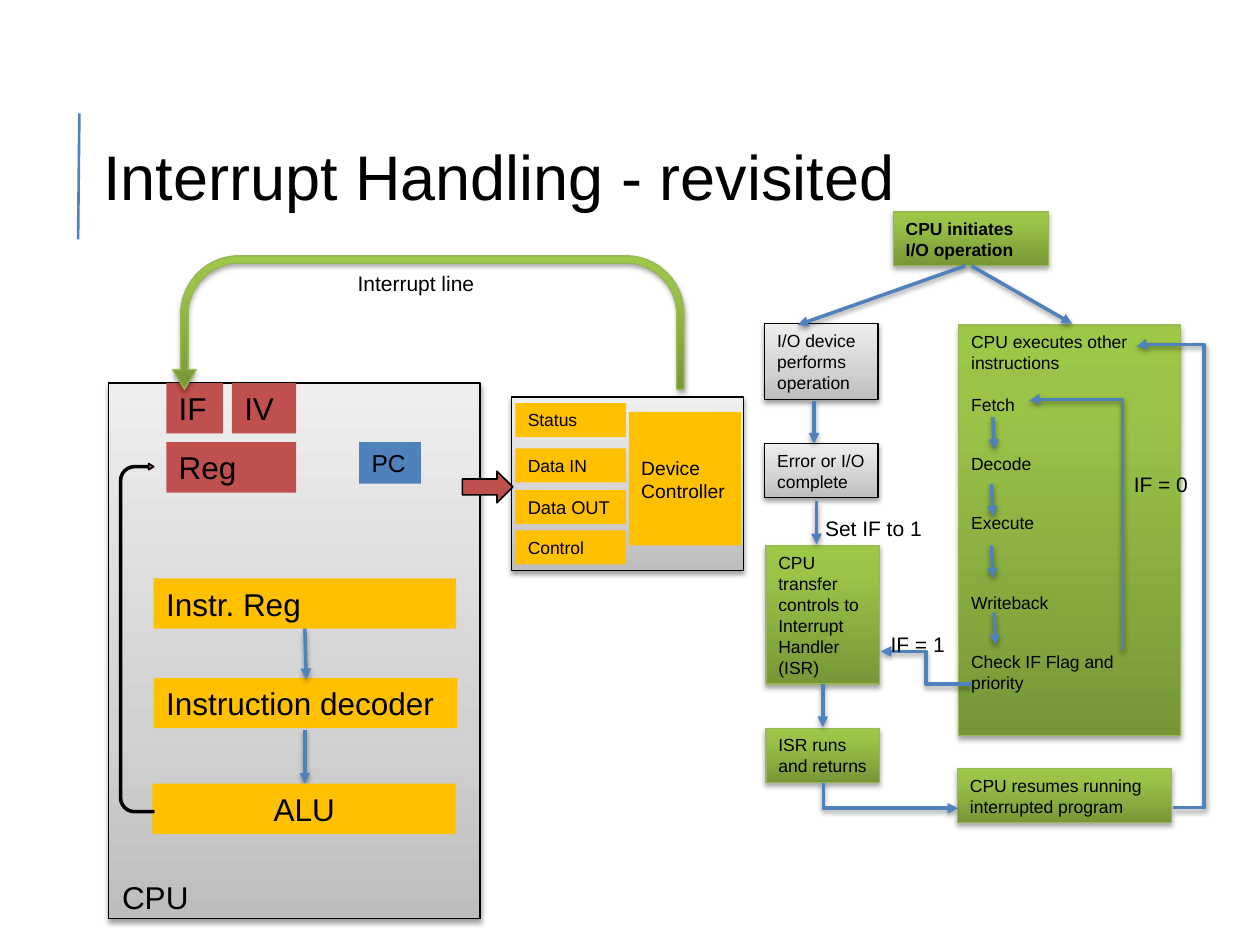
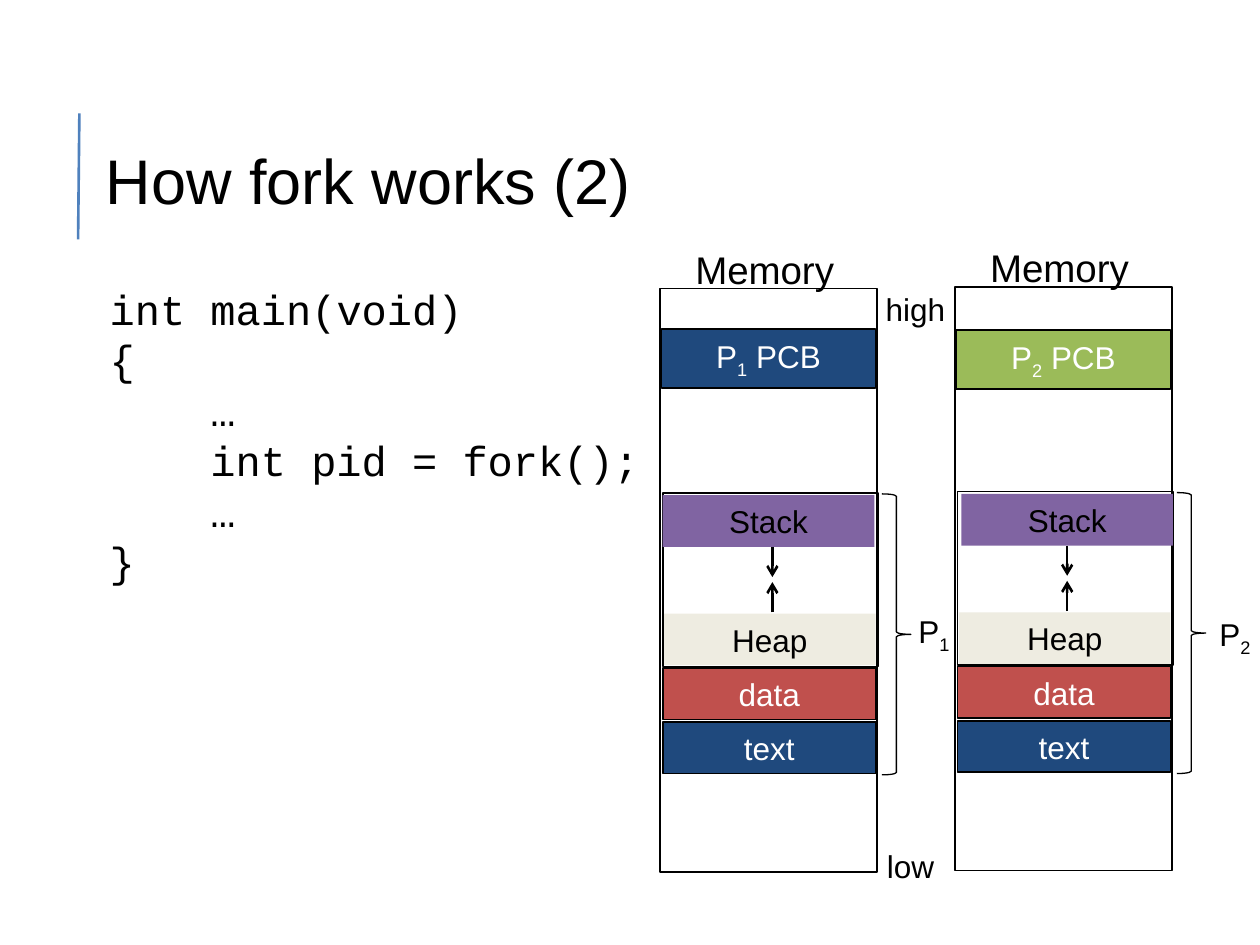
"""Build two operating-systems slides: interrupt handling and how fork works."""
from lxml.etree import SubElement
from pptx import Presentation
from pptx.dml.color import RGBColor
from pptx.enum.shapes import MSO_CONNECTOR, MSO_SHAPE
from pptx.enum.text import MSO_ANCHOR, MSO_AUTO_SIZE, PP_ALIGN
from pptx.oxml.ns import qn
from pptx.util import Inches, Pt

COLORS = {
    "black": "000000", "white": "FFFFFF", "blue": "4F81BD", "navy": "1F497D",
    "red": "C0504D", "amber": "FFC000", "lime": "9BBB59", "purple": "8064A2",
    "cream": "EEECE1", "leaf": "98B855",
}
GRADIENTS = {
    "grey": ((0, "BDBDBD"), (35, "D1D1D1"), (100, "EEEEEE")),
    "green": ((0, "779737"), (80, "9BC348"), (100, "9DC746")),
}
SHADOWS = {"grey": (38, 1.6), "green": (35, 1.8)}
U_TURN = (0.055, 0.089, 0.147, 0.438, 1)


def rgb(name):
    return RGBColor.from_string(COLORS[name])


def write(frame, text, size=18, font="Arial", color="black", bold=False, align=PP_ALIGN.LEFT,
          anchor=MSO_ANCHOR.TOP, inset=(0.1, 0.05, 0.1, 0.05), wrap=True, spacing=None,
          gaps=()):
    """Fill a text frame, one paragraph a line; ~marks~ enclose a subscript."""
    frame.word_wrap = wrap
    frame.auto_size = MSO_AUTO_SIZE.NONE
    frame.vertical_anchor = anchor
    (frame.margin_left, frame.margin_top,
     frame.margin_right, frame.margin_bottom) = map(Inches, inset)
    for row, line in enumerate(text.split("\n")):
        paragraph = frame.add_paragraph() if row else frame.paragraphs[0]
        paragraph.alignment = align
        paragraph.space_before = Pt(gaps[row] if gaps else 0)
        if spacing:
            paragraph.line_spacing = spacing
        for part, words in enumerate(line.split("~")):
            if not words:
                continue
            run = paragraph.add_run()
            run.text = words
            run.font.size, run.font.name, run.font.bold = Pt(size), font, bold
            run.font.color.rgb = rgb(color)
            if part % 2:
                run._r.get_or_add_rPr().set("baseline", "-25000")


class Deck:
    """Hold the shared style and the slide being drawn."""

    def __init__(self):
        self.prs = Presentation()
        self.prs.slide_width, self.prs.slide_height = Inches(10), Inches(7.5)
        self.slide = None

    def open_slide(self, layout, title, at):
        self.slide = self.prs.slides.add_slide(self.prs.slide_layouts[layout])
        heading = self.slide.shapes.title
        self.place(heading, at)
        write(heading.text_frame, title, size=36, anchor=MSO_ANCHOR.MIDDLE,
              inset=(0, 0, 0, 0), spacing=0.9)

    def side_rule(self):
        """Draw the rule beside the titles and hand it to the slide master."""
        rule = self.arrow((0.62, 1.9), (0.63, 0.9), width=1.5, head=None, shadow=False)
        self.prs.slide_master.shapes._spTree.append(rule._element)

    def place(self, shape, at):
        shape.left, shape.top, shape.width, shape.height = map(Inches, at)

    def turn(self, shape, rotation, flip):
        xfrm = shape._element.spPr.find(qn("a:xfrm"))
        if rotation:
            xfrm.set("rot", str(rotation * 60000))
        for axis in flip:
            xfrm.set("flip" + axis.upper(), "1")

    def cast_shadow(self, effects, alpha, distance):
        shadow = SubElement(effects, qn("a:outerShdw"), blurRad=str(Pt(3.1)),
                            dist=str(Pt(distance)), dir="5400000", rotWithShape="0")
        tone = SubElement(shadow, qn("a:srgbClr"), val=COLORS["black"])
        SubElement(tone, qn("a:alpha"), val=str(alpha * 1000))

    def shape(self, at, fill=None, text=None, kind=MSO_SHAPE.RECTANGLE, line=None,
              width=0.99, adjust=(), rotation=0, flip="", **text_format):
        shape = self.slide.shapes.add_shape(kind, *map(Inches, at))
        for index, value in enumerate(adjust):
            shape.adjustments[index] = value
        self.turn(shape, rotation, flip)
        if fill in GRADIENTS:
            shape.fill.gradient()
            shape.fill.gradient_angle = 90
            stops = shape._element.spPr.find(qn("a:gradFill")).find(qn("a:gsLst"))
            for stop in list(stops):
                stops.remove(stop)
            for position, tone in GRADIENTS[fill]:
                stop = SubElement(stops, qn("a:gs"), pos=str(position * 1000))
                SubElement(stop, qn("a:srgbClr"), val=tone)
            line, width = ("black" if fill == "grey" else "leaf"), 0.75
        elif fill:
            shape.fill.solid()
            shape.fill.fore_color.rgb = rgb(fill)
        else:
            shape.fill.background()
        if line:
            shape.line.color.rgb = rgb(line)
            shape.line.width = Pt(width)
        else:
            shape.line.fill.background()
        shape.shadow.inherit = False
        if fill in SHADOWS:
            self.cast_shadow(shape._element.spPr.find(qn("a:effectLst")), *SHADOWS[fill])
        if text:
            write(shape.text_frame, text, **text_format)

    def label(self, at, text, size):
        box = self.slide.shapes.add_textbox(*map(Inches, at))
        write(box.text_frame, text, size=size, wrap=False)

    def code(self, at, text, indented):
        body = self.slide.placeholders[1]
        self.place(body, at)
        write(body.text_frame, text, size=24, font="Courier New", inset=(0.05,) * 4)
        for row, paragraph in enumerate(body.text_frame.paragraphs):
            properties = paragraph._p.get_or_add_pPr()
            properties.set("marL", str(Inches(0.8 if row in indented else 0)))
            properties.set("indent", "0")
            SubElement(properties, qn("a:buNone"))

    def arrow(self, start, end, color="blue", width=2, head="triangle", shadow=True,
              kind=MSO_CONNECTOR.STRAIGHT):
        arrow = self.slide.shapes.add_connector(kind, *map(Inches, (*start, *end)))
        arrow.line.color.rgb = rgb(color)
        arrow.line.width = Pt(width)
        properties = arrow._element.spPr
        if head:
            SubElement(properties.find(qn("a:ln")), qn("a:tailEnd"), type=head)
        effects = SubElement(properties, qn("a:effectLst"))
        if shadow:
            self.cast_shadow(effects, *SHADOWS["grey"])
        return arrow

    def elbow(self, at, preset, rotation=0, flip="", adjust=()):
        left, top, width, height = at
        elbow = self.arrow((left, top), (left + width, top + height),
                           kind=MSO_CONNECTOR.ELBOW)
        self.turn(elbow, rotation, flip)
        geometry = elbow._element.spPr.find(qn("a:prstGeom"))
        geometry.set("prst", preset)
        guides = geometry.find(qn("a:avLst"))
        if guides is None:
            guides = SubElement(geometry, qn("a:avLst"))
        for number, value in enumerate(adjust, 1):
            SubElement(guides, qn("a:gd"), name=f"adj{number}",
                       fmla=f"val {round(value * 100000)}")


def draw_cpu(deck):
    deck.shape((0.86, 3.04, 2.95, 4.25), "grey")
    deck.shape((1.22, 4.59, 2.4, 0.4), "amber", "Instr. Reg")
    deck.shape((2.85, 3.51, 0.49, 0.33), "blue", "PC", size=14)
    deck.shape((1.32, 3.51, 1.03, 0.4), "red", "Reg")
    deck.label((0.87, 6.92, 0.72, 0.4), "CPU", 18)
    deck.shape((1.22, 5.38, 2.41, 0.4), "amber", "Instruction decoder")
    deck.arrow((2.42, 4.99), (2.43, 5.39))
    deck.arrow((2.42, 5.79), (2.42, 6.22))
    deck.shape((1.21, 6.22, 2.41, 0.4), "amber", "ALU", align=PP_ALIGN.CENTER)
    deck.shape((-0.3, 4.93, 2.77, 0.27), "red", kind=MSO_SHAPE.U_TURN_ARROW, line="black",
               adjust=U_TURN, rotation=90, flip="hv")
    deck.shape((1.32, 3.04, 0.45, 0.4), "red", "IF")
    deck.shape((1.84, 3.04, 0.51, 0.4), "red", "IV")


def draw_device(deck):
    deck.label((2.74, 2.1, 1.13, 0.3), "Interrupt line", 12)
    deck.shape((4.06, 3.15, 1.84, 1.38), "grey")
    registers = (("Status", 3.2, 10), ("Data IN", 3.56, 10),
                 ("Data OUT", 3.89, 10.5), ("Control", 4.21, 10))
    for register, top, size in registers:
        deck.shape((4.09, top, 0.88, 0.27), "amber", register, size=size)
    deck.shape((4.99, 3.27, 0.89, 1.06), "amber", "Device Controller", size=11,
               inset=(0.1, 0.35, 0.1, 0.05))
    deck.shape((3.67, 3.74, 0.4, 0.25), "red", kind=MSO_SHAPE.RIGHT_ARROW, line="black")
    deck.shape((1.37, 2.03, 4.06, 1.06), "green", kind=MSO_SHAPE.U_TURN_ARROW,
               adjust=U_TURN, flip="h")


def draw_flow(deck):
    steps = (
        ((6.07, 2.57, 0.9, 0.6), "grey", "I/O device\nperforms\noperation"),
        ((6.07, 3.52, 0.9, 0.43), "grey", "Error or I/O complete"),
        ((6.08, 4.33, 0.9, 1.1), "green",
         "CPU transfer controls to\nInterrupt\nHandler (ISR)"),
        ((6.08, 5.78, 0.9, 0.43), "green", "ISR runs and returns"),
    )
    for at, fill, step in steps:
        deck.shape(at, fill, step, size=10)
    for left, top in ((6.46, 3.18), (6.48, 3.98), (6.53, 5.43)):
        deck.arrow((left, top), (left, top + 0.34))
    deck.label((6.45, 4.04, 0.97, 0.3), "Set IF to 1", 12)

    cycle = ("CPU executes other instructions\nFetch\nDecode\nExecute\nWriteback\n"
             "Check IF Flag and priority")
    deck.shape((7.61, 2.58, 1.76, 3.26), "green", cycle, size=10,
               gaps=(0, 12, 21.7, 21.7, 33.7, 21.7))
    deck.elbow((7.55, 3.8, 1.98, 0.74), "bentConnector3", 270, "v", (1.005,))
    deck.label((8.9, 3.69, 0.63, 0.3), "IF = 0", 12)
    for left, top in ((7.88, 3.31), (7.87, 3.84), (7.87, 4.33), (7.89, 4.86)):
        deck.arrow((left, top), (left + 0.01, top + 0.26))
    deck.elbow((6.99, 5.17, 0.72, 0.26), "bentConnector3", 180, "", (0.5,))
    deck.label((6.97, 4.96, 0.63, 0.3), "IF = 1", 12)

    deck.shape((7.6, 6.1, 1.7, 0.43), "green", "CPU resumes running interrupted program",
               size=10)
    deck.elbow((6.97, 5.78, 0.2, 1.07), "bentConnector2", 270, "h")
    deck.elbow((9.02, 2.75, 0.29, 3.66), "bentConnector4", 0, "hv", (-0.852, 1.004))
    deck.shape((7.09, 1.68, 1.23, 0.43), "green", "CPU initiates I/O operation", size=10,
               bold=True)
    deck.arrow((7.66, 2.11), (6.33, 2.58))
    deck.arrow((7.71, 2.11), (8.51, 2.57))


def draw_memory(deck, process, left, top, pcb_top, pcb_fill, stack_left, name_at):
    """Draw one process's memory column from its top left corner."""
    middle = {"align": PP_ALIGN.CENTER, "anchor": MSO_ANCHOR.MIDDLE}
    deck.shape((left, top, 1.72, 4.63), line="black")
    deck.label((left + 0.18, top - 0.39, 1.3, 0.47), "Memory", 22)
    for segment, offset, fill in (("text", 3.44, "navy"), ("data", 3.01, "red")):
        deck.shape((left + 0.02, top + offset, 1.69, 0.41), fill, segment, line="black",
                   color="white", **middle)
    deck.shape((left + 0.02, top + 1.62, 1.71, 1.38), line="black")
    deck.shape((stack_left, top + 1.64, 1.68, 0.41), "purple", "Stack", **middle)
    deck.shape((left + 0.03, top + 2.58, 1.68, 0.41), "cream", "Heap", **middle)
    for start, end in ((2.05, 2.29), (2.57, 2.33)):
        deck.arrow((left + 0.89, top + start), (left + 0.89, top + end), color="black",
                   width=1.5, head="arrow", shadow=False)
    deck.shape((left + 1.76, top + 1.63, 0.23, 2.23), kind=MSO_SHAPE.LEFT_BRACE,
               line="black", width=0.75, adjust=(0.083, 0.5), flip="h")
    deck.label((*name_at, 0.44, 0.44), f"P~{process}~", 18)
    deck.shape((left + 0.01, pcb_top, 1.7, 0.47), pcb_fill, f"P~{process}~ PCB",
               line="black", color="white", **middle)


deck = Deck()
deck.open_slide(5, "Interrupt Handling - revisited", (0.82, 1.18, 9.18, 0.5))
deck.side_rule()
draw_cpu(deck)
draw_device(deck)
draw_flow(deck)

deck.open_slide(1, "How fork works (2)", (0.84, 0.64, 7.97, 1.64))
deck.code((0.82, 2.2, 5.05, 4.07), "int main(void)\n{\n…\nint pid = fork();\n…\n}",
          indented=(2, 3, 4))
draw_memory(deck, 1, 5.24, 2.29, 2.61, "navy", 5.26, (7.19, 4.81))
deck.label((6.93, 2.25, 0.67, 0.4), "high", 18)
deck.label((6.94, 6.67, 0.57, 0.4), "low", 18)
draw_memory(deck, 2, 7.58, 2.28, 2.62, "lime", 7.63, (9.58, 4.83))
deck.prs.save("out.pptx")
